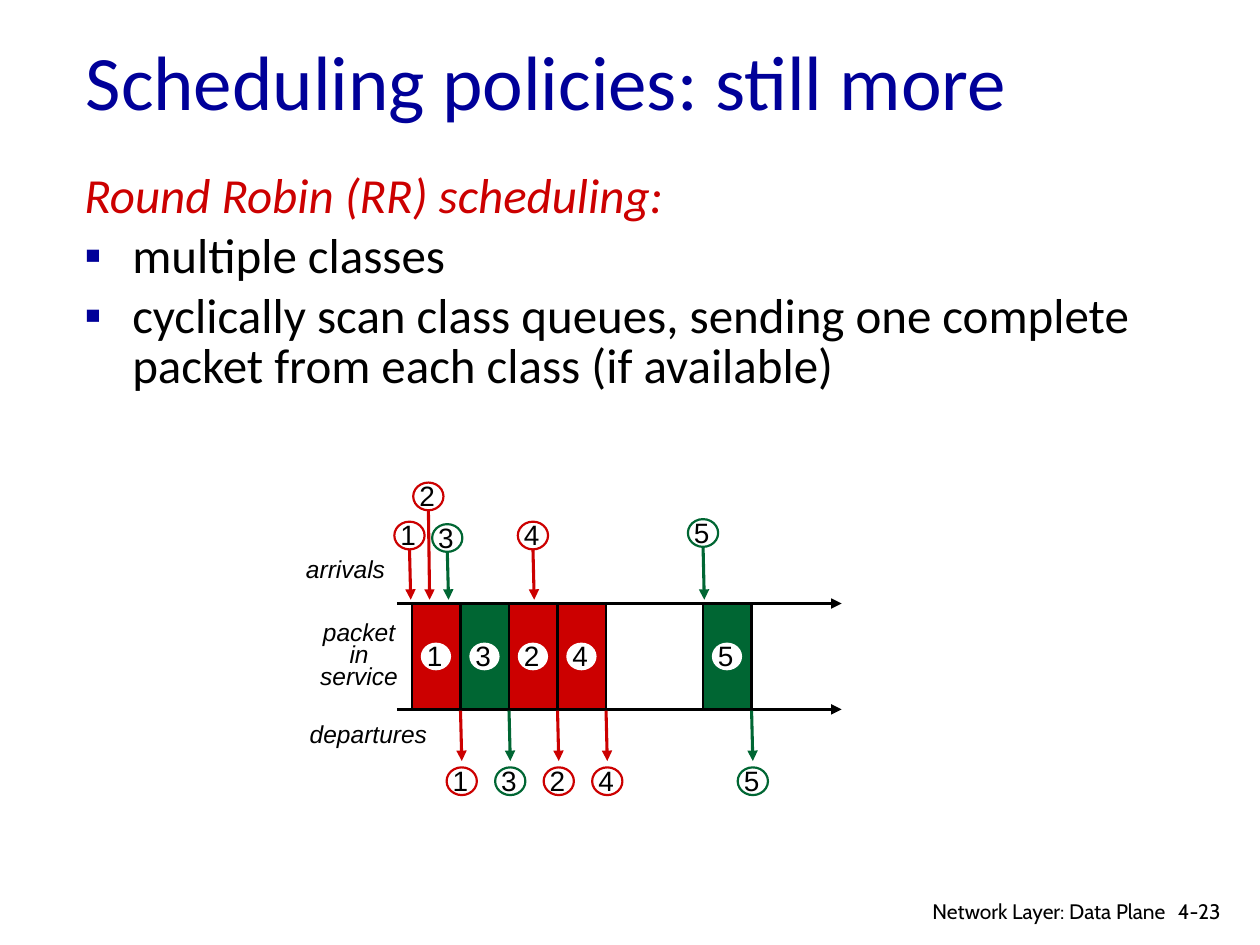
from dataclasses import dataclass

from lxml import etree
from pptx import Presentation
from pptx.dml.color import RGBColor
from pptx.enum.shapes import MSO_CONNECTOR, MSO_SHAPE
from pptx.enum.text import MSO_ANCHOR, MSO_AUTO_SIZE, PP_ALIGN
from pptx.oxml.ns import qn
from pptx.util import Inches, Pt

STRAIGHT = MSO_CONNECTOR.STRAIGHT
OVAL, RECTANGLE = MSO_SHAPE.OVAL, MSO_SHAPE.RECTANGLE
LEFT, CENTER, RIGHT = PP_ALIGN.LEFT, PP_ALIGN.CENTER, PP_ALIGN.RIGHT
TOP, MIDDLE = MSO_ANCHOR.TOP, MSO_ANCHOR.MIDDLE
NO_AUTOFIT = MSO_AUTO_SIZE.NONE

BLACK = RGBColor(0x00, 0x00, 0x00)
WHITE = RGBColor(0xFF, 0xFF, 0xFF)
NAVY = RGBColor(0x00, 0x00, 0x99)
RED = RGBColor(0xCC, 0x00, 0x00)
GREEN = RGBColor(0x00, 0x66, 0x33)

# Diagram measures in inches
AXIS_LEFT, AXIS_RIGHT = 3.15, 6.68
SERVICE_TOP, SERVICE_BOTTOM = 4.79, 5.63
SERVICE_LEFT, SLOT = 3.27, 0.385
CIRCLE_WIDTH, CIRCLE_HEIGHT = 0.24, 0.22
ARROW_LEAN = 0.01


@dataclass(frozen=True)
class Packet:
    number: int
    color: RGBColor
    slot: int
    arrival_left: float
    arrival_top: float


PACKETS = [
    Packet(1, RED, 0, 3.13, 4.14),
    Packet(3, GREEN, 1, 3.43, 4.16),
    Packet(2, RED, 2, 3.28, 3.83),
    Packet(4, RED, 3, 4.11, 4.14),
    Packet(5, GREEN, 6, 5.46, 4.12),
]


def write_text(paragraph, text: str, *, size: float, font: str = "Arial",
               color: RGBColor = BLACK, italic: bool = False,
               align=LEFT, line_spacing=None) -> None:
    paragraph.alignment = align
    if line_spacing is not None:
        paragraph.line_spacing = line_spacing
    run = paragraph.add_run()
    run.text = text
    run.font.size = Pt(size)
    run.font.name = font
    run.font.italic = italic
    run.font.color.rgb = color


def place(shape, left: float, top: float, width: float, height: float) -> None:
    shape.left, shape.top = Inches(left), Inches(top)
    shape.width, shape.height = Inches(width), Inches(height)


def add_label(slide, text: str, left: float, top: float, width: float,
              height: float, wrap: bool = False, **text_format) -> None:
    box = slide.shapes.add_textbox(
        Inches(left), Inches(top), Inches(width), Inches(height))
    box.text_frame.word_wrap = wrap
    write_text(box.text_frame.paragraphs[0], text, **text_format)


def add_arrow(slide, start: tuple[float, float], end: tuple[float, float],
              color: RGBColor, width: float) -> None:
    arrow = slide.shapes.add_connector(
        STRAIGHT, *(Inches(value) for value in (*start, *end)))
    arrow.line.color.rgb = color
    arrow.line.width = Pt(width)
    etree.SubElement(arrow.line._get_or_add_ln(), qn("a:tailEnd"), type="triangle")
    etree.SubElement(arrow._element.spPr, qn("a:effectLst"))


def add_filled_shape(slide, kind, left: float, top: float, width: float,
                     height: float, fill: RGBColor,
                     outline: RGBColor | None) -> None:
    shape = slide.shapes.add_shape(
        kind, Inches(left), Inches(top), Inches(width), Inches(height))
    shape.shadow.inherit = False
    shape.fill.solid()
    shape.fill.fore_color.rgb = fill
    if outline is None:
        shape.line.fill.background()
    else:
        shape.line.color.rgb = outline
        shape.line.width = Pt(1.25)


def add_number(slide, number: int, left: float, top: float,
               outline: RGBColor | None = None) -> None:
    add_filled_shape(slide, OVAL, left, top, CIRCLE_WIDTH, CIRCLE_HEIGHT,
                     WHITE, outline)
    add_label(slide, str(number), left - 0.05, top - 0.08, 0.33, 0.37, size=16)


def add_packet(slide, packet: Packet) -> None:
    # In service
    left = SERVICE_LEFT + packet.slot * SLOT
    add_filled_shape(slide, RECTANGLE, left, SERVICE_TOP, SLOT,
                     SERVICE_BOTTOM - SERVICE_TOP, packet.color, BLACK)
    add_number(slide, packet.number, left + 0.07, SERVICE_TOP + 0.31)

    # Arrival
    center = packet.arrival_left + CIRCLE_WIDTH / 2
    add_arrow(slide, (center, packet.arrival_top + CIRCLE_HEIGHT),
              (center + ARROW_LEAN, SERVICE_TOP - 0.03), packet.color, 1.75)
    add_number(slide, packet.number, packet.arrival_left, packet.arrival_top,
               packet.color)

    # Departure, when service ends
    finish = left + SLOT
    add_arrow(slide, (finish, SERVICE_BOTTOM + 0.01),
              (finish + ARROW_LEAN, SERVICE_BOTTOM + 0.41), packet.color, 1.75)
    add_number(slide, packet.number, finish - 0.11, SERVICE_BOTTOM + 0.46,
               packet.color)


def set_bullet(paragraph, character: str | None) -> None:
    properties = paragraph._p.get_or_add_pPr()
    properties.set("marL", str(Inches(0.38)))
    properties.set("indent", str(-Inches(0.38)))
    if character is None:
        etree.SubElement(properties, qn("a:buNone"))
        return
    color = etree.SubElement(properties, qn("a:buClr"))
    etree.SubElement(color, qn("a:srgbClr"), val=str(NAVY))
    etree.SubElement(properties, qn("a:buFont"), typeface="Arial")
    etree.SubElement(properties, qn("a:buChar"), char=character)


def fill_placeholders(slide) -> None:
    title, body = slide.shapes.title, slide.placeholders[1]
    place(title, 0.58, 0.01, 8.5, 1.25)
    place(body, 0.57, 1.33, 8.5, 0.83)
    for shape, anchor in ((title, MIDDLE), (body, TOP)):
        shape.text_frame.auto_size = NO_AUTOFIT
        shape.text_frame.vertical_anchor = anchor
    write_text(title.text_frame.paragraphs[0], "Scheduling policies: still more",
               size=44, font="Calibri", color=NAVY)

    lines = [
        ("Round Robin (RR) scheduling:", None),
        ("multiple classes", "▪"),
        ("cyclically scan class queues, sending one complete packet "
         "from each class (if available)", "▪"),
    ]
    for index, (text, bullet) in enumerate(lines):
        frame = body.text_frame
        paragraph = frame.add_paragraph() if index else frame.paragraphs[0]
        heading = bullet is None
        paragraph.space_before = Pt(5.6)
        write_text(paragraph, text, size=28, font="Calibri", italic=heading,
                   color=RED if heading else BLACK, line_spacing=0.85)
        set_bullet(paragraph, bullet)


def main() -> None:
    presentation = Presentation()
    presentation.slide_width, presentation.slide_height = Inches(10), Inches(7.5)
    slide = presentation.slides.add_slide(presentation.slide_layouts[1])
    fill_placeholders(slide)

    # Time axes and packets
    for axis in (SERVICE_TOP, SERVICE_BOTTOM):
        add_arrow(slide, (AXIS_LEFT, axis), (AXIS_RIGHT, axis), BLACK, 2)
    for packet in PACKETS:
        add_packet(slide, packet)

    # Row labels
    add_label(slide, "arrivals", 2.33, 4.35, 0.88, 0.34, size=14, italic=True)
    add_label(slide, "departures", 2.36, 5.66, 1.19, 0.34, size=14, italic=True)
    add_label(slide, "packet in service", 2.38, 4.9, 0.94, 0.65, wrap=True,
              size=14, italic=True, align=CENTER, line_spacing=Pt(12.8))

    # Footer
    add_label(slide, "4-23", 9.25, 7.08, 0.61, 0.3, wrap=True,
              size=12, font="Cabin")
    add_label(slide, "Network Layer: Data Plane", 6.97, 7.08, 2.38, 0.26,
              wrap=True, size=12, font="Cabin", align=RIGHT)

    presentation.save("out.pptx")


if __name__ == "__main__":
    main()
